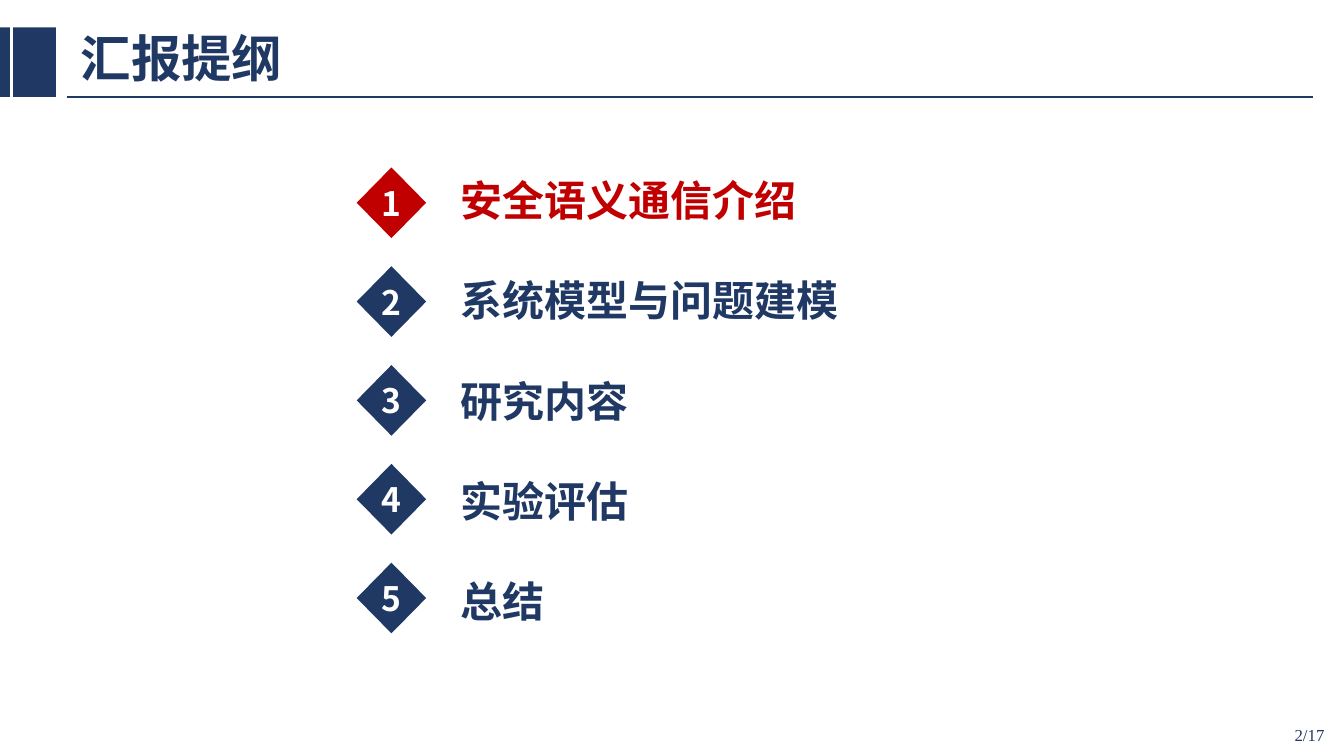
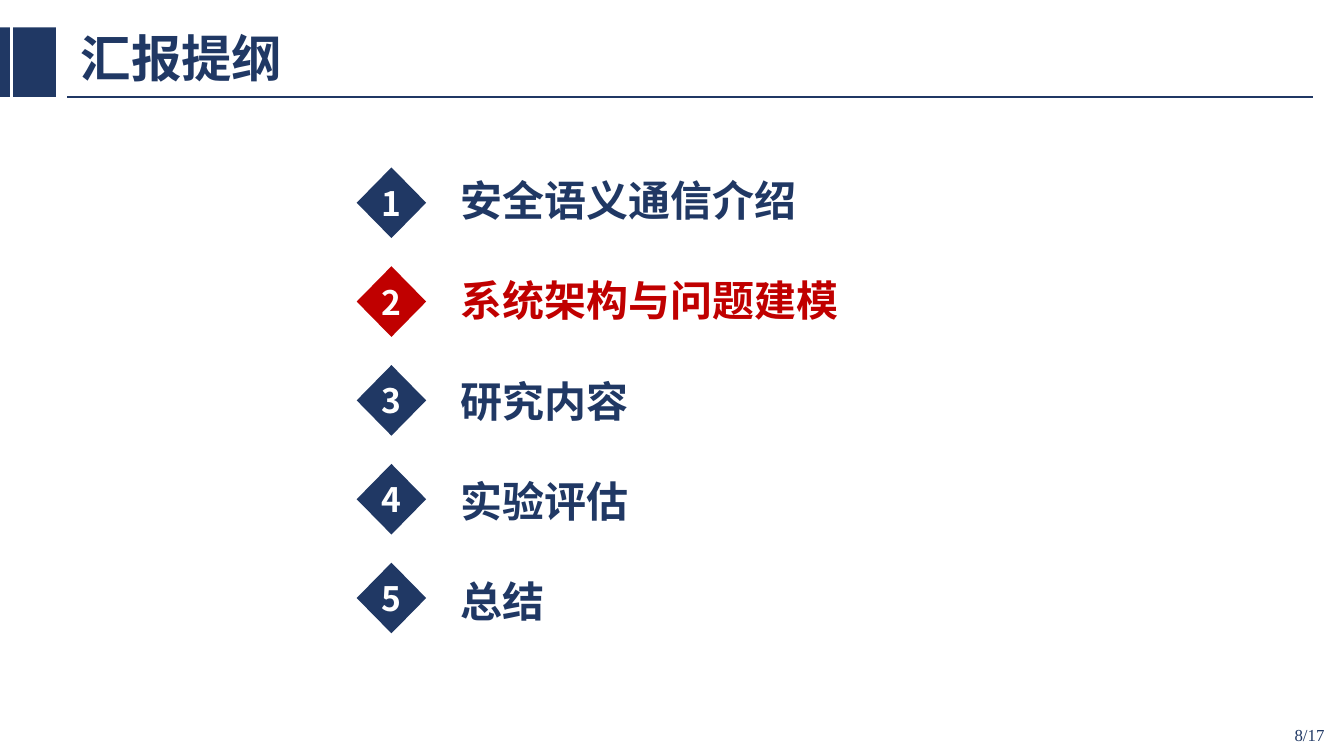
from lxml import etree
from pptx import Presentation
from pptx.dml.color import RGBColor
from pptx.enum.shapes import MSO_CONNECTOR, MSO_SHAPE
from pptx.enum.text import MSO_ANCHOR, MSO_AUTO_SIZE, PP_ALIGN
from pptx.oxml.ns import qn
from pptx.util import Cm, Pt

STRAIGHT = MSO_CONNECTOR.STRAIGHT
RECTANGLE, DIAMOND = MSO_SHAPE.RECTANGLE, MSO_SHAPE.DIAMOND
TOP, MIDDLE = MSO_ANCHOR.TOP, MSO_ANCHOR.MIDDLE
LEFT, CENTER, RIGHT = PP_ALIGN.LEFT, PP_ALIGN.CENTER, PP_ALIGN.RIGHT
NO_AUTOFIT = MSO_AUTO_SIZE.NONE

COLORS = {"navy": "203864", "red": "C00000", "white": "FFFFFF"}
HEADING_FONT = "Noto Sans CJK SC"
NUMBER_FONT = "Times New Roman"
TITLE_ONLY = 5
PAGE_COUNT = 17

TITLE = "汇报提纲"
# Page number, highlighted section, section names
AGENDAS = [
    (2, 1, ["安全语义通信介绍", "系统模型与问题建模", "研究内容", "实验评估", "总结"]),
    (8, 2, ["安全语义通信介绍", "系统架构与问题建模", "研究内容", "实验评估", "总结"]),
]

BADGE_TOP, BADGE_PITCH = 4.22, 2.49
LABEL_TOP, LABEL_PITCH = 4.27, 2.53


def color(name):
    return RGBColor.from_string(COLORS[name])


def box(left, top, width, height):
    return Cm(left), Cm(top), Cm(width), Cm(height)


def write(frame, text, size, color_name, font=HEADING_FONT, bold=True,
          align=LEFT, anchor=TOP):
    """Put one styled run into the frame, with the font set for CJK text too."""
    frame.auto_size = NO_AUTOFIT
    frame.vertical_anchor = anchor
    paragraph = frame.paragraphs[0]
    paragraph.alignment = align
    run = paragraph.add_run()
    run.text = text
    run.font.size = Pt(size)
    run.font.bold = bold
    run.font.color.rgb = color(color_name)
    run.font.name = font
    east_asian = etree.SubElement(run._r.get_or_add_rPr(), qn("a:ea"))
    east_asian.set("typeface", font)
    return paragraph


def add_filled(shapes, kind, place, color_name):
    shape = shapes.add_shape(kind, *place)
    shape.shadow.inherit = False
    shape.fill.solid()
    shape.fill.fore_color.rgb = color(color_name)
    shape.line.fill.background()
    return shape


def add_label(shapes, place, text, size, color_name, **style):
    frame = shapes.add_textbox(*place).text_frame
    frame.word_wrap = True
    write(frame, text, size, color_name, **style)


def add_header(slide):
    rule = slide.shapes.add_connector(STRAIGHT, Cm(1.7), Cm(2.44), Cm(33.1), Cm(2.44))
    rule.line.color.rgb = color("navy")
    rule.line.width = Pt(1)
    etree.SubElement(rule._element.spPr, qn("a:effectLst"))
    for left, width in ((0, 0.25), (0.33, 1.08)):
        add_filled(slide.shapes, RECTANGLE, box(left, 0.69, width, 1.75), "navy")

    title = slide.shapes.title
    title.left, title.top, title.width, title.height = box(1.78, 0.53, 6.83, 2.03)
    paragraph = write(title.text_frame, TITLE, 36, "navy", anchor=MIDDLE)
    paragraph.line_spacing = 0.9


def add_page_number(slide, page):
    add_label(slide.shapes, box(26.01, 18.01, 7.62, 1.02), f"{page}/{PAGE_COUNT}",
              12, "navy", font=NUMBER_FONT, bold=False, align=RIGHT, anchor=MIDDLE)


def add_section(slide, index, name, color_name):
    """Add a numbered diamond and its section name as one group."""
    section = slide.shapes.add_group_shape().shapes
    badge = add_filled(section, DIAMOND,
                       box(8.99, BADGE_TOP + index * BADGE_PITCH, 1.75, 1.78), color_name)
    frame = badge.text_frame
    frame.word_wrap = False
    frame.margin_left = frame.margin_right = frame.margin_top = frame.margin_bottom = 0
    write(frame, str(index + 1), 24, "white", align=CENTER, anchor=MIDDLE)
    add_label(section, box(11.36, LABEL_TOP + index * LABEL_PITCH, 16.13, 1.55),
              name, 30, color_name)


def add_agenda_slide(prs, page, current, names):
    slide = prs.slides.add_slide(prs.slide_layouts[TITLE_ONLY])
    add_header(slide)
    add_page_number(slide, page)
    for index, name in enumerate(names):
        add_section(slide, index, name, "red" if index + 1 == current else "navy")


def main():
    prs = Presentation()
    prs.slide_width, prs.slide_height = Cm(33.87), Cm(19.05)
    for page, current, names in AGENDAS:
        add_agenda_slide(prs, page, current, names)
    prs.save("out.pptx")


if __name__ == "__main__":
    main()
